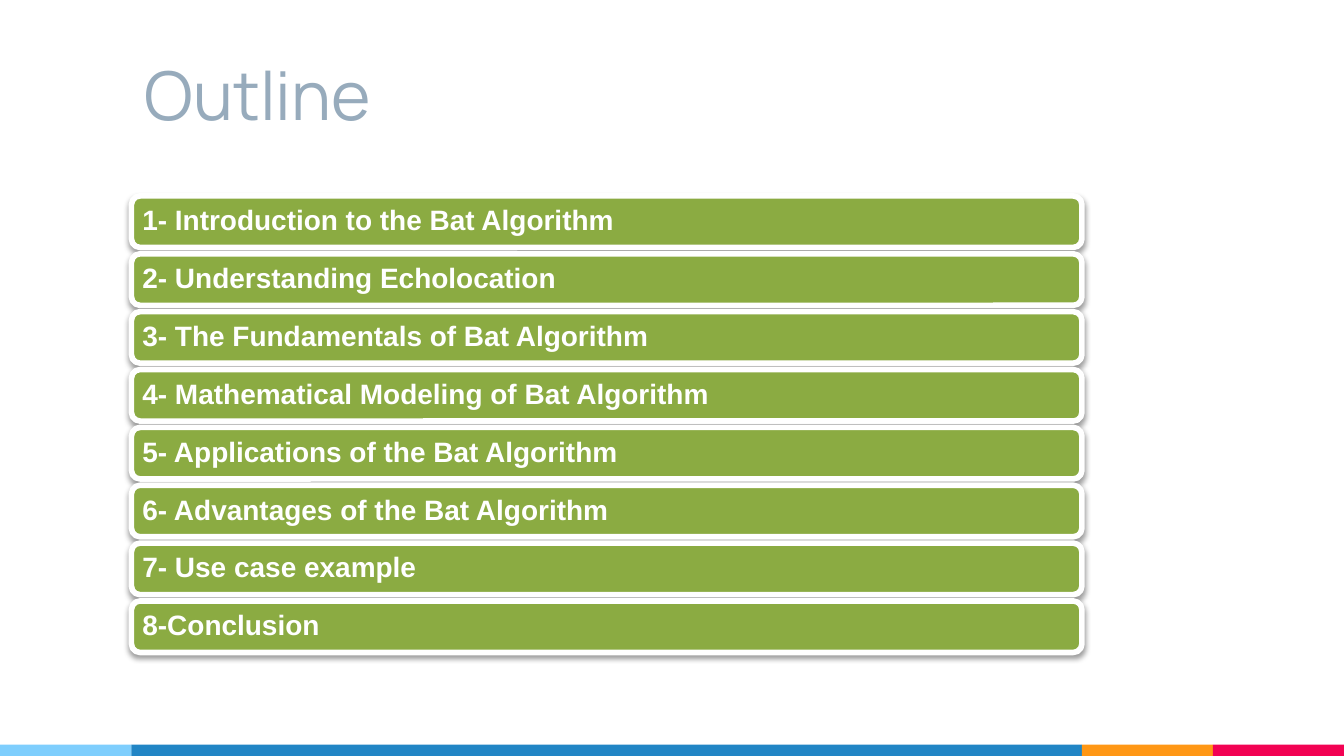
from dataclasses import dataclass

from lxml import etree
from pptx import Presentation
from pptx.dml.color import RGBColor
from pptx.enum import shapes, text
from pptx.oxml import ns
from pptx.util import Pt

WIDTH, HEIGHT = 720, 405
LEFT, CONTENT_WIDTH = 70.4, 509.2
TOPIC_TOP, TOPIC_PITCH, TOPIC_HEIGHT = 105, 31, 27.6
STRIPE_HEIGHT = 6


@dataclass
class Stripe:
    width: float
    color: str


STRIPES = [
    Stripe(LEFT, "7ECEFD"),
    Stripe(CONTENT_WIDTH, "2185C5"),
    Stripe(70.2, "FF9715"),
    Stripe(70.2, "F20253"),
]
TOPICS = [
    "1- Introduction to the Bat Algorithm",
    "2- Understanding Echolocation",
    "3- The Fundamentals of Bat Algorithm",
    "4- Mathematical Modeling of Bat Algorithm",
    "5- Applications of the Bat Algorithm",
    "6- Advantages of the Bat Algorithm",
    "7- Use case example",
    "8-Conclusion",
]


def rgb(color: str) -> RGBColor:
    """Turn a hex string into a colour."""
    return RGBColor.from_string(color)


def write(shape, wording: str, font_name: str, size: float, color: str, bold: bool, inset: float):
    """Put one left-aligned, vertically centred paragraph in a shape."""
    frame = shape.text_frame
    frame.word_wrap = True
    frame.auto_size = text.MSO_AUTO_SIZE.NONE
    frame.vertical_anchor = text.MSO_ANCHOR.MIDDLE
    frame.margin_left = frame.margin_right = Pt(inset)
    frame.margin_top = frame.margin_bottom = Pt(inset)
    frame.text = wording
    paragraph = frame.paragraphs[0]
    paragraph.alignment = text.PP_ALIGN.LEFT
    font = paragraph.font
    font.name, font.size, font.bold = font_name, Pt(size), bold
    font.color.rgb = rgb(color)
    return paragraph


def add_box(slide, kind, left: float, top: float, width: float, height: float, color: str):
    """Add a filled shape without outline or shadow."""
    box = slide.shapes.add_shape(kind, Pt(left), Pt(top), Pt(width), Pt(height))
    box.shadow.inherit = False
    box.fill.solid()
    box.fill.fore_color.rgb = rgb(color)
    box.line.fill.background()
    return box


def add_shadow(shape) -> None:
    """Give a shape a soft shadow straight below it."""
    effects = shape._element.spPr.find(ns.qn("a:effectLst"))
    shadow = etree.SubElement(
        effects, ns.qn("a:outerShdw"),
        blurRad=str(Pt(3.1)), dist=str(Pt(1.6)), dir="5400000", rotWithShape="0",
    )
    tint = etree.SubElement(shadow, ns.qn("a:srgbClr"), val="000000")
    etree.SubElement(tint, ns.qn("a:alpha"), val="38000")


def add_topic(slide, wording: str, top: float) -> None:
    """Add one outline entry as a rounded bar."""
    bar = add_box(slide, shapes.MSO_SHAPE.ROUNDED_RECTANGLE,
                  LEFT, top, CONTENT_WIDTH, TOPIC_HEIGHT, "8BAB42")
    bar.line.color.rgb = rgb("FFFFFF")
    bar.line.width = Pt(3)
    add_shadow(bar)
    write(bar, wording, "Arial", 15, "FFFFFF", True, 4.5).line_spacing = 0.9


def main() -> None:
    """Build the outline slide."""
    deck = Presentation()
    deck.slide_width, deck.slide_height = Pt(WIDTH), Pt(HEIGHT)
    slide = deck.slides.add_slide(deck.slide_layouts[5])

    title = slide.shapes.title
    title.left, title.top = Pt(LEFT), Pt(16.6)
    title.width, title.height = Pt(CONTENT_WIDTH), Pt(67.6)
    write(title, "Outline", "Manrope", 36, "97ABBC", False, 7.2)

    left = 0
    for stripe in STRIPES:
        add_box(slide, shapes.MSO_SHAPE.RECTANGLE, left, HEIGHT - STRIPE_HEIGHT,
                stripe.width, STRIPE_HEIGHT, stripe.color)
        left += stripe.width

    for index, topic in enumerate(TOPICS):
        add_topic(slide, topic, TOPIC_TOP + index * TOPIC_PITCH)

    deck.save("out.pptx")


if __name__ == "__main__":
    main()
